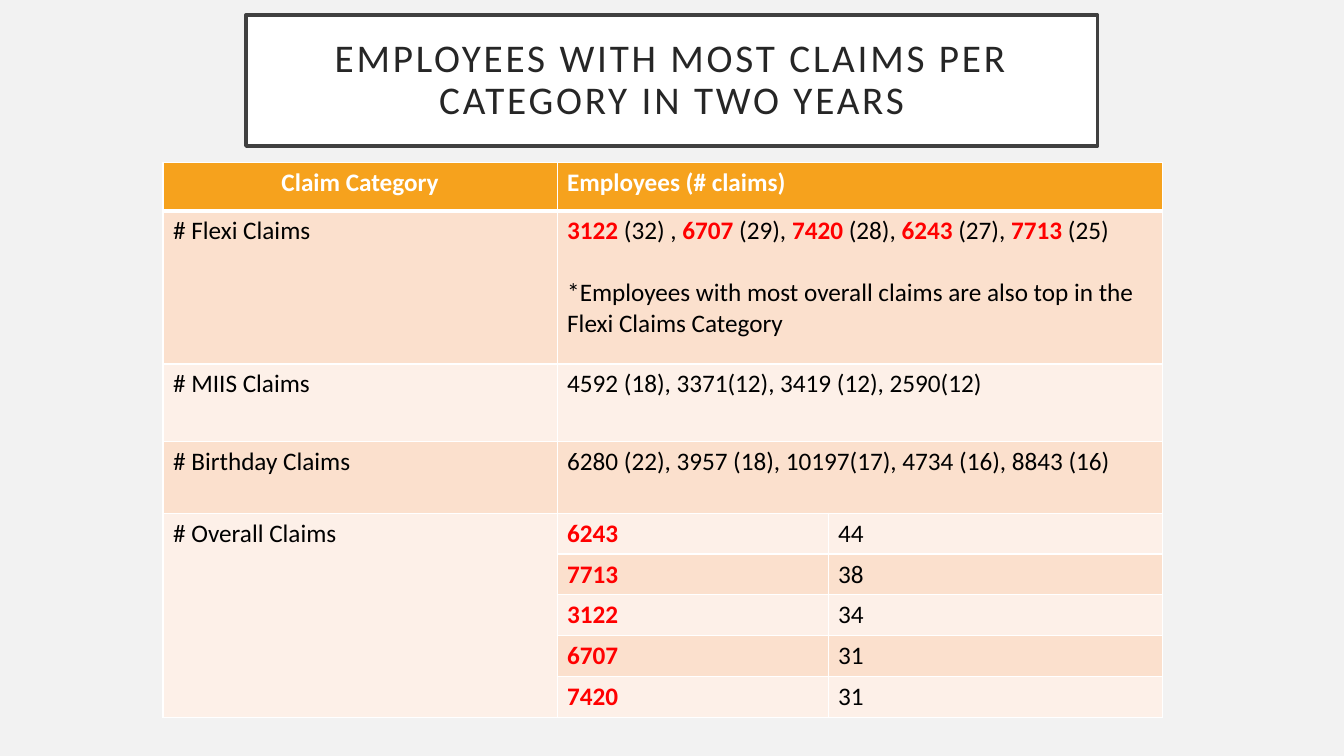
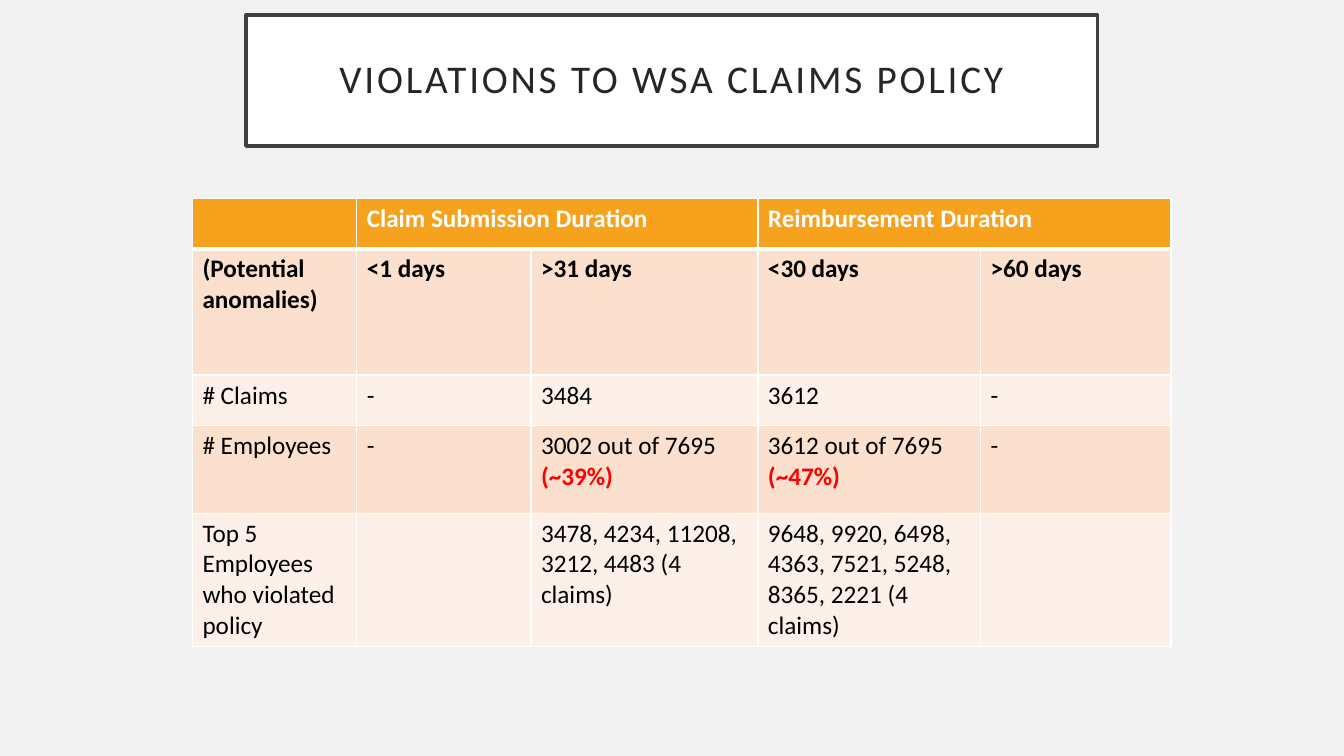
"""Build two slides of employee claim tables under framed titles."""
from dataclasses import dataclass

from lxml.etree import SubElement
from pptx import Presentation
from pptx.dml.color import RGBColor as Color
from pptx.enum.shapes import MSO_SHAPE as Preset
from pptx.enum.text import MSO_ANCHOR as Anchor, PP_ALIGN as Align
from pptx.oxml.ns import qn
from pptx.util import Cm, Pt


@dataclass(frozen=True)
class Theme:
    """Hold the colours and type sizes that the slides share."""
    font: str = "Calibri"
    title_size: int = 28
    body_size: int = 18
    letter_spacing: int = 2
    paragraph_gap: int = 22
    thin_border: int = 1
    header_border: int = 3
    background: str = "F2F2F2"
    white: str = "FFFFFF"
    frame: str = "404040"
    title: str = "262626"
    body: str = "000000"
    highlight: str = "FF0000"
    header: str = "F6A21D"
    odd_row: str = "FBE0CD"
    even_row: str = "FDF0E8"


THEME = Theme()

TOP_CLAIMANTS = {
    "position": (4.11, 4.09),
    "widths": (9.93, 6.83, 8.43),
    "heights": (1.22, 3.86, 1.96, 1.8) + (1.03,) * 5,
    "rows": (
        ("Claim Category", "Employees (# claims)"),
        ("# Flexi Claims",
         "|3122| (32) , |6707| (29), |7420| (28), |6243| (27), |7713| (25)\n"
         "*Employees with most overall claims are also top in the Flexi Claims Category"),
        ("# MIIS Claims", "4592 (18), 3371(12), 3419 (12), 2590(12)"),
        ("# Birthday Claims", "6280 (22), 3957 (18), 10197(17), 4734 (16), 8843 (16)"),
        ("# Overall Claims", "|6243|", "44"),
        ("", "|7713|", "38"),
        ("", "|3122|", "34"),
        ("", "|6707|", "31"),
        ("", "|7420|", "31"),
    ),
    "merges": [((row, 1), (row, 2)) for row in range(4)] + [((4, 0), (8, 0))],
    "bold_rows": (0,),
    "centered": ((0, 0),),
}

POLICY_VIOLATIONS = {
    "position": (4.85, 5),
    "widths": (4.14, 4.39, 5.72, 5.61, 4.8),
    "heights": (1.27, 3.18, 1.27, 2.21, 3.35),
    "rows": (
        ("", "Claim Submission Duration", "", "Reimbursement Duration", ""),
        ("(Potential anomalies)", "<1 days", ">31 days", "<30 days", ">60 days"),
        ("# Claims", "-", "3484", "3612", "-"),
        ("# Employees", "-", "3002 out of 7695 |(~39%)|", "3612 out of 7695 |(~47%)|", "-"),
        ("Top 5 Employees who violated policy", "",
         "3478, 4234, 11208, 3212, 4483 (4 claims)",
         "9648, 9920, 6498, 4363, 7521, 5248, 8365, 2221 (4 claims)", ""),
    ),
    "merges": [((0, 1), (0, 2)), ((0, 3), (0, 4))],
    "bold_rows": (0, 1),
    "centered": (),
}


def apply_format(target, values):
    """Set every attribute named in a dict of format values."""
    for name, value in values.items():
        setattr(target, name, value)


def paint(fill, color):
    """Give a fill one solid colour."""
    fill.solid()
    fill.fore_color.rgb = Color.from_string(color)


def add_run(paragraph, text, size, color, bold=False):
    """Append a formatted run and return it."""
    run = paragraph.add_run()
    run.text = text
    apply_format(run.font, {"name": THEME.font, "size": Pt(size), "bold": bold})
    run.font.color.rgb = Color.from_string(color)
    return run


def add_title(slide, text):
    """Draw the framed title box."""
    shape = slide.shapes.add_shape(Preset.RECTANGLE, Cm(6.2), Cm(0.38), Cm(21.46), Cm(3.3))
    shape.shadow.inherit = False
    paint(shape.fill, THEME.white)
    paint(shape.line.fill, THEME.frame)
    shape.line.width = Pt(2.5)
    frame = shape.text_frame
    margins = ("margin_left", "margin_right", "margin_top", "margin_bottom")
    apply_format(frame, dict.fromkeys(margins, Cm(0.51)))
    apply_format(frame, {"word_wrap": True, "vertical_anchor": Anchor.MIDDLE})
    paragraph = frame.paragraphs[0]
    apply_format(paragraph, {"alignment": Align.CENTER, "line_spacing": 0.9})
    run = add_run(paragraph, text, THEME.title_size, THEME.title)
    run.font._element.set("spc", str(THEME.letter_spacing * 100))


def add_borders(cell, row):
    """Outline a cell, with a heavier rule under the header row."""
    properties = cell._tc.get_or_add_tcPr()
    heavy_side = {0: "lnB", 1: "lnT"}.get(row)
    for side in ("lnL", "lnR", "lnT", "lnB"):
        width = THEME.header_border if side == heavy_side else THEME.thin_border
        line = SubElement(properties, qn(f"a:{side}"), w=str(Pt(width)))
        fill = SubElement(line, qn("a:solidFill"))
        SubElement(fill, qn("a:srgbClr"), val=THEME.white)


def fill_text(cell, text, color, bold, alignment):
    """Write lines of text in which bars enclose the highlighted parts."""
    frame = cell.text_frame
    for number, line in enumerate(text.split("\n")):
        paragraph = frame.add_paragraph() if number else frame.paragraphs[0]
        paragraph.alignment = alignment
        if number:
            paragraph.space_before = Pt(THEME.paragraph_gap)
        for index, part in enumerate(line.split("|")):
            marked = index % 2 == 1
            if part:
                add_run(paragraph, part, THEME.body_size,
                        THEME.highlight if marked else color, bold or marked)


def row_color(row):
    """Return the fill of a header or banded row."""
    if row == 0:
        return THEME.header
    return THEME.odd_row if row % 2 else THEME.even_row


def add_claims_table(slide, position, widths, heights, rows, merges, bold_rows, centered):
    """Draw a banded table with merged cells."""
    left, top = position
    table = slide.shapes.add_table(len(heights), len(widths), Cm(left), Cm(top),
                                   Cm(sum(widths)), Cm(sum(heights))).table
    for column, width in zip(table.columns, widths):
        column.width = Cm(width)
    for row, height in enumerate(heights):
        table.rows[row].height = Cm(height)
        for column in range(len(widths)):
            cell = table.cell(row, column)
            add_borders(cell, row)
            paint(cell.fill, row_color(row))
        for column, text in enumerate(rows[row]):
            fill_text(table.cell(row, column), text,
                      THEME.body if row else THEME.white, row in bold_rows,
                      Align.CENTER if (row, column) in centered else Align.LEFT)
    for first, last in merges:
        table.cell(*first).merge(table.cell(*last))


def add_claims_slide(presentation, title, table):
    """Add a slide with a title and a table."""
    slide = presentation.slides.add_slide(presentation.slide_layouts[6])
    paint(slide.background.fill, THEME.background)
    add_title(slide, title)
    add_claims_table(slide, **table)


def main():
    """Build and save the presentation."""
    presentation = Presentation()
    apply_format(presentation, {"slide_width": Cm(33.87), "slide_height": Cm(19.05)})
    add_claims_slide(presentation, "EMPLOYEES WITH MOST CLAIMS PER CATEGORY IN TWO YEARS",
                     TOP_CLAIMANTS)
    add_claims_slide(presentation, "VIOLATIONS TO WSA CLAIMS POLICY", POLICY_VIOLATIONS)
    presentation.save("out.pptx")


if __name__ == "__main__":
    main()
